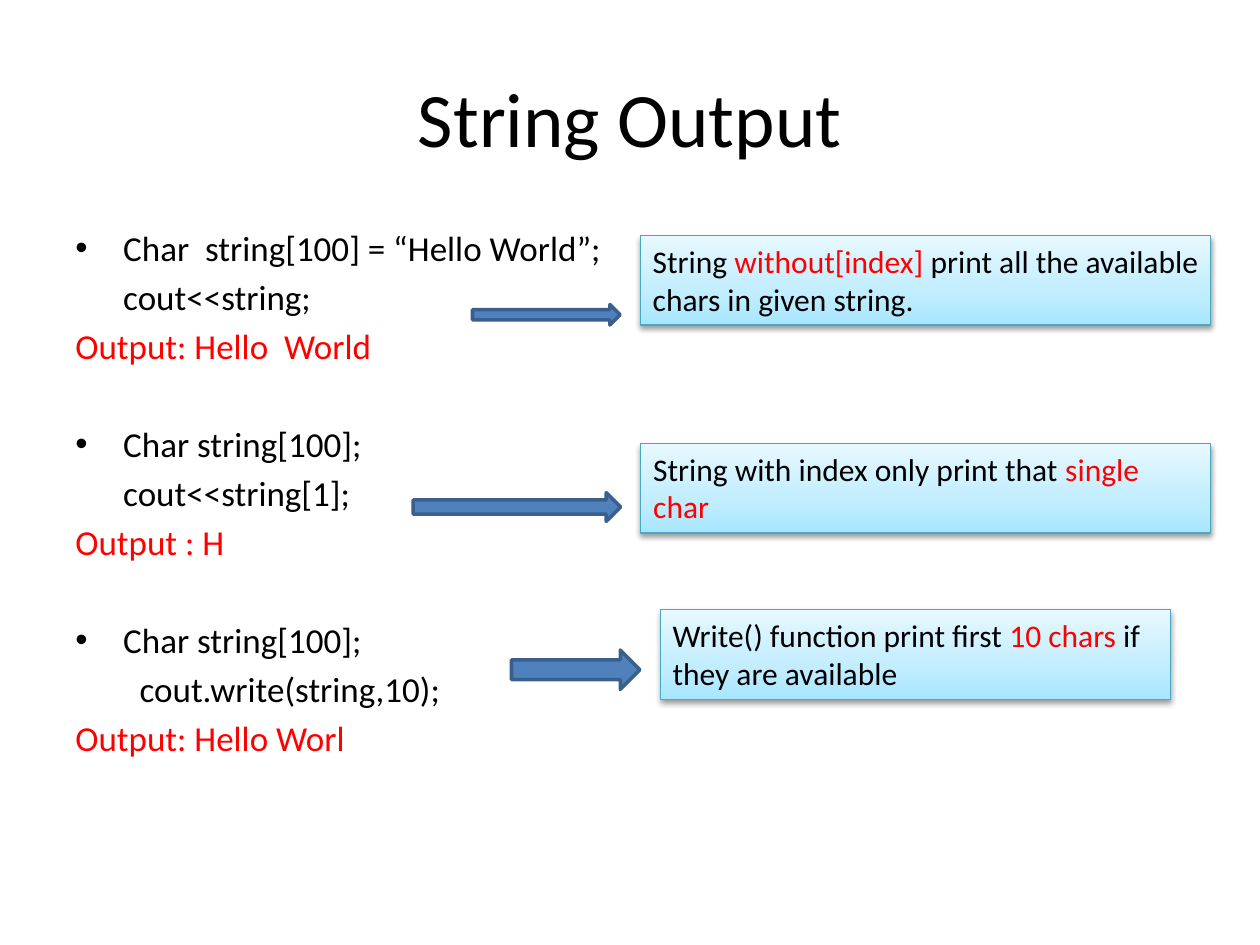
from copy import deepcopy
from dataclasses import dataclass

from lxml.etree import SubElement
from pptx import Presentation
from pptx.dml.color import RGBColor
from pptx.enum.shapes import MSO_SHAPE
from pptx.enum.text import MSO_ANCHOR, PP_ALIGN
from pptx.oxml.ns import qn
from pptx.util import Inches, Pt


@dataclass(frozen=True)
class Theme:
    """Colours, type sizes and spacing of the slide."""
    font: str = "Calibri"
    ink: str = "000000"
    accent: str = "FF0000"
    arrow: str = "4F81BD"
    arrow_edge: str = "3A5F8C"
    note_edge: str = "46AAC5"
    note_stops: tuple = ((0, "A7E6FF"), (0.35, "C1EDFF"), (1, "E7F8FF"))
    title_size: int = 44
    code_size: int = 20
    note_size: int = 18
    line_gap: int = 4
    example_gap: int = 32


@dataclass(frozen=True)
class Box:
    """A rectangle in inches."""
    left: float
    top: float
    width: float
    height: float

    def inner(self, left, top, width, height):
        """Return the inner box given by percentages of this one."""
        return Box(self.left + self.width * left / 100,
                   self.top + self.height * top / 100,
                   self.width * width / 100, self.height * height / 100)

    def lengths(self):
        """Return the four lengths for python-pptx."""
        return [Inches(v) for v in (self.left, self.top, self.width, self.height)]


THEME = Theme()
PAGE = Box(0, 0, 10, 7.5)
HANGING = 0.38
ARROW_GAP = 0.16
EXAMPLES = (
    (("Char  string[100] = “Hello World”;", "cout<<string;", "Output: Hello  World"), 0),
    (("Char string[100];", "cout<<string[1];", "Output : H"), 0),
    (("Char string[100];", "cout.write(string,10);", "Output: Hello Worl"), 0.13),
)
CALLOUTS = (
    ((37.5, 24.93, 58.6, 9.47), (0, 77, 20, 23),
     (("String ", 0), ("without[index]", 1),
      (" print all the available chars in given string.", 0))),
    ((32.8, 46.93, 63.3, 9.47), (0, 55, 26, 32),
     (("String with index only print that ", 0), ("single char", 1))),
    ((40.6, 64.53, 52.3, 9.47), (0, 45, 19.5, 44),
     (("Write() function print first ", 0), ("10 chars ", 1),
      ("if they are available", 0))),
)


def apply(target, formats):
    """Set each attribute named in formats."""
    for name, value in formats.items():
        setattr(target, name, value)


def write(paragraph, words, size, color):
    """Add a run in the theme font."""
    run = paragraph.add_run()
    run.text = words
    apply(run.font, {"name": THEME.font, "size": Pt(size)})
    run.font.color.rgb = RGBColor.from_string(color)


def add_title(slide, box):
    """Place the centred heading."""
    frame = slide.shapes.add_textbox(*box.lengths()).text_frame
    apply(frame, {"word_wrap": True, "vertical_anchor": MSO_ANCHOR.MIDDLE})
    heading = frame.paragraphs[0]
    heading.alignment = PP_ALIGN.CENTER
    write(heading, "String Output", THEME.title_size, THEME.ink)


def add_examples(slide, box):
    """Place the code examples with their output lines."""
    frame = slide.shapes.add_textbox(*box.lengths()).text_frame
    frame.word_wrap = True
    for number, (lines, extra) in enumerate(EXAMPLES):
        margins = ((HANGING, -HANGING), (HANGING + extra, 0), (0, 0))
        colors = (THEME.ink, THEME.ink, THEME.accent)
        for row, (words, (margin, indent), color) in enumerate(zip(lines, margins, colors)):
            first = number == row == 0
            line = frame.paragraphs[0] if first else frame.add_paragraph()
            gap = THEME.line_gap if row else THEME.example_gap
            line.space_before = Pt(0 if first else gap)
            props = line._p.get_or_add_pPr()
            props.set("marL", str(Inches(margin)))
            props.set("indent", str(Inches(indent)))
            if row == 0:
                SubElement(props, qn("a:buFont"), typeface="Arial")
                SubElement(props, qn("a:buChar"), char="•")
            else:
                SubElement(props, qn("a:buNone"))
            write(line, words, THEME.code_size, color)


def add_block(slide, kind, box, edge, weight):
    """Add an outlined shape without a shadow."""
    block = slide.shapes.add_shape(kind, *box.lengths())
    block.shadow.inherit = False
    block.line.color.rgb = RGBColor.from_string(edge)
    block.line.width = Pt(weight)
    return block


def style_note(note):
    """Give a note its gradient and soft shadow."""
    note.fill.gradient()
    note.fill.gradient_angle = 90
    props = note._element.spPr
    stops = props.find(".//" + qn("a:gsLst"))
    stops.append(deepcopy(stops[0]))
    for stop, (position, color) in zip(note.fill.gradient_stops, THEME.note_stops):
        stop.position = position
        stop.color.rgb = RGBColor.from_string(color)
    shadow = SubElement(props.find(qn("a:effectLst")), qn("a:outerShdw"),
                        blurRad="40000", dist="20000", dir="5400000", rotWithShape="0")
    shade = SubElement(shadow, qn("a:srgbClr"), val=THEME.ink)
    SubElement(shade, qn("a:alpha"), val="38000")


def add_callout(slide, box, arrow_share, pieces):
    """Place an arrow and the note it points to."""
    arrow_box = box.inner(*arrow_share)
    arrow = add_block(slide, MSO_SHAPE.RIGHT_ARROW, arrow_box, THEME.arrow_edge, 2)
    arrow.fill.solid()
    arrow.fill.fore_color.rgb = RGBColor.from_string(THEME.arrow)
    offset = arrow_box.width + ARROW_GAP
    note_box = Box(box.left + offset, box.top, box.width - offset, box.height)
    note = add_block(slide, MSO_SHAPE.RECTANGLE, note_box, THEME.note_edge, 0.75)
    style_note(note)
    apply(note.text_frame, {"word_wrap": True, "vertical_anchor": MSO_ANCHOR.TOP})
    sentence = note.text_frame.paragraphs[0]
    sentence.alignment = PP_ALIGN.LEFT
    for words, stressed in pieces:
        write(sentence, words, THEME.note_size, THEME.accent if stressed else THEME.ink)


def build():
    """Build and save the slide."""
    deck = Presentation()
    apply(deck, {"slide_width": Inches(PAGE.width), "slide_height": Inches(PAGE.height)})
    slide = deck.slides.add_slide(deck.slide_layouts[6])
    add_title(slide, PAGE.inner(5, 4, 90, 16.67))
    add_examples(slide, PAGE.inner(5, 23.33, 49.7, 66))
    for region, arrow_share, pieces in CALLOUTS:
        add_callout(slide, PAGE.inner(*region), arrow_share, pieces)
    deck.save("out.pptx")


build()
